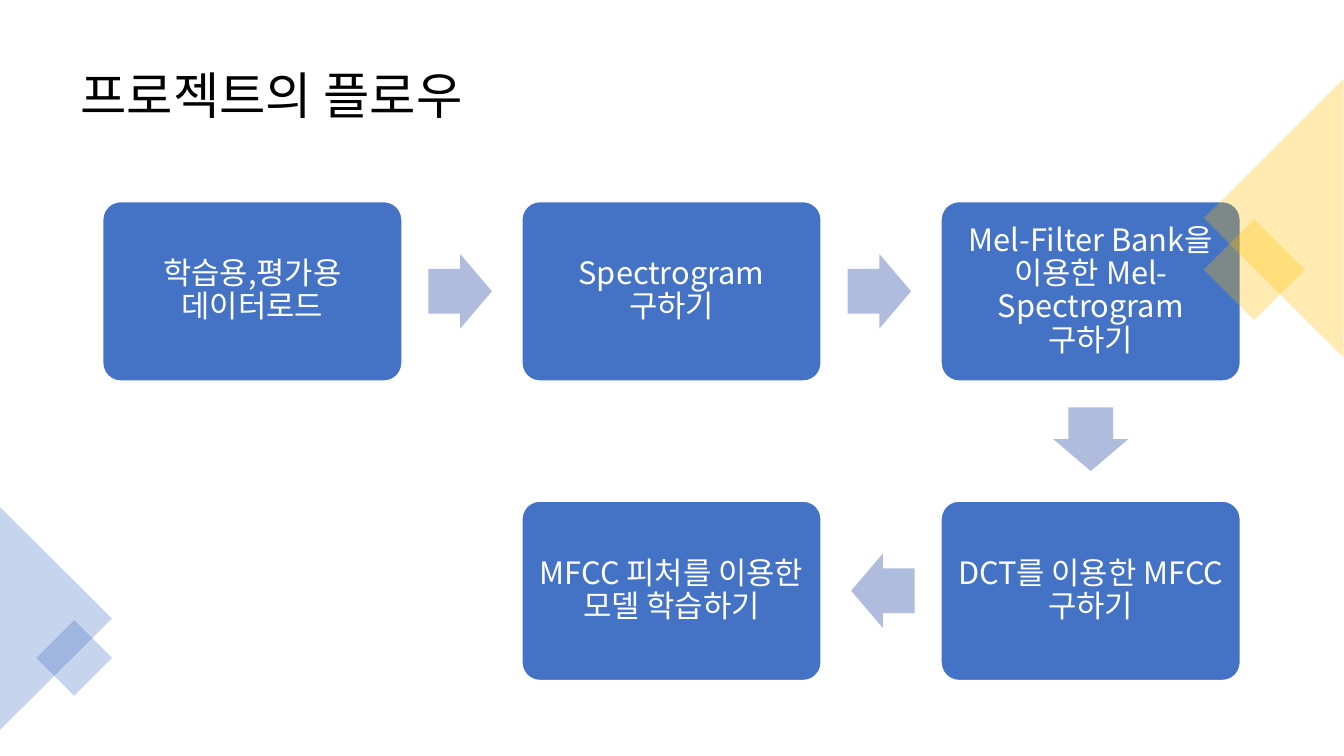
from lxml import etree
from pptx import Presentation
from pptx.dml.color import RGBColor
from pptx.enum.shapes import MSO_SHAPE
from pptx.enum.text import MSO_ANCHOR, PP_ALIGN
from pptx.oxml.ns import qn
from pptx.util import Pt

ROUNDED, ARROW = MSO_SHAPE.ROUNDED_RECTANGLE, MSO_SHAPE.RIGHT_ARROW
SQUARE, TRIANGLE = MSO_SHAPE.RECTANGLE, MSO_SHAPE.ISOSCELES_TRIANGLE
MIDDLE = MSO_ANCHOR.MIDDLE
LEFT, CENTER = PP_ALIGN.LEFT, PP_ALIGN.CENTER

BLACK = RGBColor(0x00, 0x00, 0x00)
WHITE = RGBColor(0xFF, 0xFF, 0xFF)
BLUE = RGBColor(0x44, 0x72, 0xC4)
PALE_BLUE = RGBColor(0xB0, 0xBC, 0xDE)
GOLD = RGBColor(0xFF, 0xC0, 0x00)

FONT = "Noto Sans CJK KR"
STEP_W, STEP_H = 213.8, 128.2
FIRST_X, FIRST_Y = 180.3, 208.1
COLUMN_PITCH, ROW_PITCH = 299.4, 213.9
ARROW_W, ARROW_H = 45.4, 53.3
ARROW_SETBACK = 1.3

# Each step: column, row, wording
STEPS = [
    (0, 0, "학습용,평가용 데이터로드"),
    (1, 0, "Spectrogram 구하기"),
    (2, 0, "Mel-Filter Bank을 이용한 Mel-Spectrogram 구하기"),
    (2, 1, "DCT를 이용한 MFCC 구하기"),
    (1, 1, "MFCC 피처를 이용한 모델 학습하기"),
]
# Rotation of an arrow by its direction in columns and rows
TURNS = {(1, 0): 0, (0, 1): 90, (-1, 0): 180}

# Each corner ornament: shape, centre x, centre y, width, height, rotation, colour
ORNAMENTS = [
    (SQUARE, 895.9, 192.6, 51.1, 51.1, 45, GOLD),
    (TRIANGLE, 909.9, 155.8, 199.4, 99.9, 270, GOLD),
    (TRIANGLE, 40, 441.8, 159.1, 80, 90, BLUE),
    (SQUARE, 53, 470, 38.2, 38.2, 45, BLUE),
]


class FlowSlide:
    """The current slide and the style of its elements."""

    def __init__(self, slide):
        """Keep the slide to draw on."""
        self.shapes = slide.shapes

    def add_wording(self, frame, wording, size, color, align):
        """Fill a text frame with one styled run."""
        frame.word_wrap = True
        frame.vertical_anchor = MIDDLE
        paragraph = frame.paragraphs[0]
        paragraph.alignment = align
        paragraph.line_spacing = 0.9
        run = paragraph.add_run()
        run.text = wording
        run.font.name = FONT
        run.font.size = Pt(size)
        run.font.color.rgb = color
        east_asian = etree.SubElement(run.font._element, qn("a:ea"))
        east_asian.set("typeface", FONT)

    def title(self, wording):
        """Add the slide heading."""
        heading = self.shapes.add_textbox(Pt(50.4), Pt(25.2), Pt(859), Pt(89.3))
        self.add_wording(heading.text_frame, wording, 36, BLACK, LEFT)

    def solid(self, kind, x, y, width, height, color, turn=0):
        """Add a borderless filled shape centred on x, y."""
        shape = self.shapes.add_shape(
            kind, Pt(x - width / 2), Pt(y - height / 2), Pt(width), Pt(height))
        shape.shadow.inherit = False
        shape.fill.solid()
        shape.fill.fore_color.rgb = color
        shape.line.fill.background()
        shape.rotation = turn
        return shape

    def step(self, x, y, wording):
        """Add one step of the flow."""
        box = self.solid(ROUNDED, x, y, STEP_W, STEP_H, BLUE)
        box.adjustments[0] = 0.1
        box.line.color.rgb = WHITE
        box.line.width = Pt(1)
        frame = box.text_frame
        frame.margin_left = frame.margin_right = Pt(6.6)
        frame.margin_top = frame.margin_bottom = Pt(6.6)
        self.add_wording(frame, wording, 22, WHITE, CENTER)

    def arrow(self, x, y, turn):
        """Add a block arrow between two steps."""
        arrow = self.solid(ARROW, x, y, ARROW_W, ARROW_H, PALE_BLUE, turn)
        arrow.adjustments[0] = 0.6
        arrow.adjustments[1] = 0.5

    def ornament(self, kind, x, y, width, height, turn, color):
        """Add a translucent corner ornament."""
        shape = self.solid(kind, x, y, width, height, color, turn)
        tint = shape.fill._xPr.find(".//" + qn("a:srgbClr"))
        etree.SubElement(tint, qn("a:alpha")).set("val", "30000")


def center(column, row):
    """Return the centre of a grid cell."""
    return FIRST_X + column * COLUMN_PITCH, FIRST_Y + row * ROW_PITCH


def main():
    """Build and save the slide."""
    deck = Presentation()
    deck.slide_width, deck.slide_height = Pt(960), Pt(540)
    flow = FlowSlide(deck.slides.add_slide(deck.slide_layouts[6]))
    flow.title("프로젝트의 플로우")
    for column, row, wording in STEPS:
        flow.step(*center(column, row), wording)
    for (column, row, _), (next_column, next_row, _) in zip(STEPS, STEPS[1:]):
        across, down = next_column - column, next_row - row
        x, y = center(column + across / 2, row + down / 2)
        flow.arrow(x - across * ARROW_SETBACK, y - down * ARROW_SETBACK,
                   TURNS[across, down])
    for ornament in ORNAMENTS:
        flow.ornament(*ornament)
    deck.save("out.pptx")


main()
